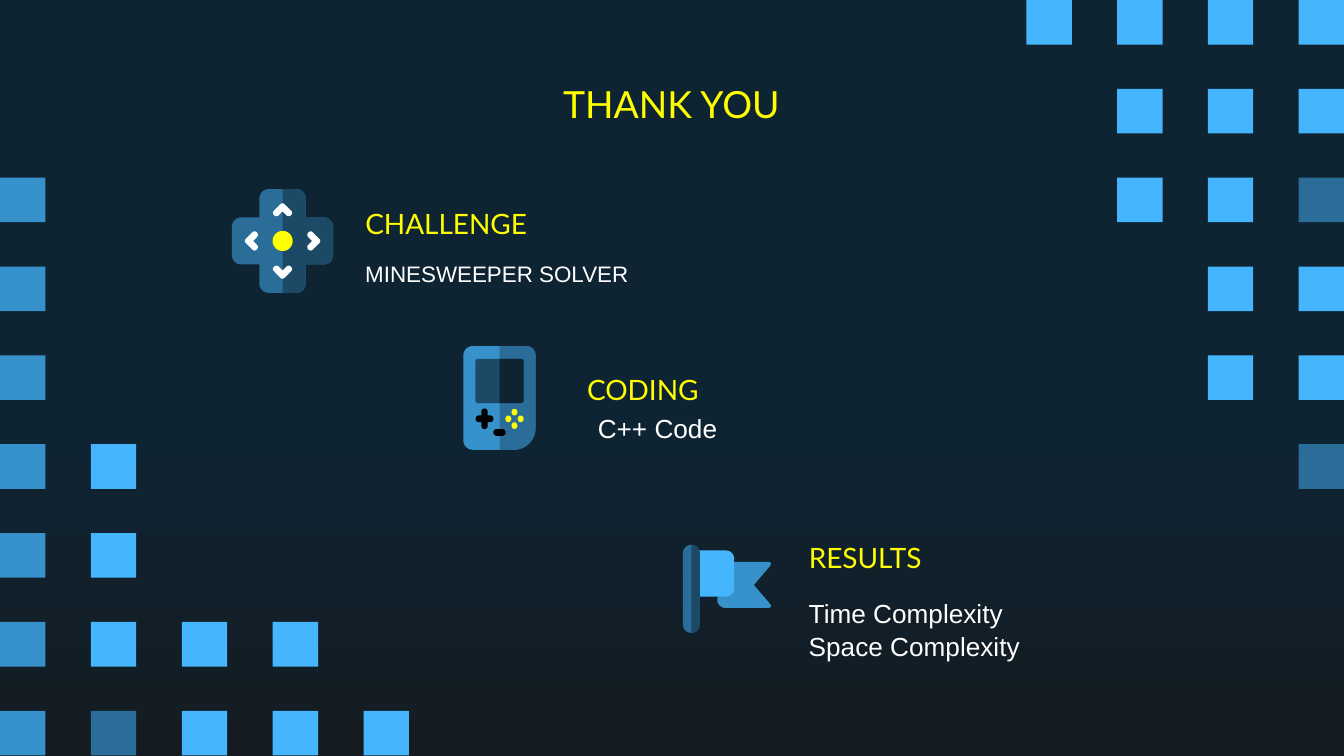
"""Build a closing slide with three icon items framed by pixel squares."""
from math import dist

from pptx import Presentation
from pptx.dml.color import RGBColor
from pptx.enum import shapes as sh, text as tx
from pptx.util import Pt

COLORS = {"night": "0E2433", "ink": "141C21", "sky": "45B6FE", "blue": "3792CB",
          "steel": "296D98", "navy": "1C4966", "yellow": "FFFF00",
          "white": "FFFFFF", "black": "000000"}
SQUARE_COLORS = {"s": "sky", "b": "blue", "d": "steel"}
LEFT_SQUARES = ["", "", "b", "b", "b", "bs", "bs", "bsss", "bdsss"]
RIGHT_SQUARES = ["ssss", ".sss", ".ssd", "..ss", "..ss", "...d"]
ITEMS = [
    ("CHALLENGE", (188.6, 105.1), "MINESWEEPER SOLVER", (188.6, 122.4), 12),
    ("CODING", (307.4, 194.4), "C++ Code", (313.2, 205.2), 14),
    ("RESULTS", (426.2, 284.4), "Time Complexity\nSpace Complexity", (426.2, 313.2), 14),
]


def rgb(name):
    return RGBColor.from_string(COLORS[name])


def paint(sp, color):
    sp.shadow.inherit = False
    sp.fill.solid()
    sp.fill.fore_color.rgb = rgb(color)
    sp.line.fill.background()


def write(sp, text, size=14, font="Arial", color="white", align=tx.PP_ALIGN.LEFT, spacing=1.0):
    tf = sp.text_frame
    tf.word_wrap = True
    tf.auto_size = tx.MSO_AUTO_SIZE.NONE
    tf.vertical_anchor = tx.MSO_ANCHOR.MIDDLE
    tf.margin_left = tf.margin_right = tf.margin_top = tf.margin_bottom = Pt(7.2)
    tf.text = text
    for p in tf.paragraphs:
        p.alignment = align
        p.line_spacing = spacing
        for r in p.runs:
            r.font.size, r.font.name = Pt(size), font
            r.font.color.rgb = rgb(color)


def add_text(s, x, y, w, h, text, **fmt):
    write(s.shapes.add_textbox(Pt(x), Pt(y), Pt(w), Pt(h)), text, **fmt)


def add_preset(shapes, kind, x, y, w, h, color):
    paint(shapes.add_shape(kind, Pt(x), Pt(y), Pt(w), Pt(h)), color)


def add_squares(s, rows, left, pitch):
    for i, row in enumerate(rows):
        for j, key in enumerate(row):
            if key in SQUARE_COLORS:
                add_preset(s.shapes, sh.MSO_SHAPE.RECTANGLE, left + j * pitch, i * 47.6,
                           24.3, 23.9, SQUARE_COLORS[key])


def round_corner(prev, corner, nxt, steps=8, weight=0.71):
    """Return the points of an arc that replaces one corner (x, y, radius)."""
    x, y, r = corner
    if not r:
        return [(x, y)]
    (ax, ay), (bx, by) = [
        (x + (q[0] - x) * r / dist(q[:2], (x, y)), y + (q[1] - y) * r / dist(q[:2], (x, y)))
        for q in (prev, nxt)]
    arc = []
    for k in range(steps + 1):
        t = k / steps
        a, c, b = (1 - t) ** 2, 2 * weight * t * (1 - t), t * t
        arc.append(((a * ax + c * x + b * bx) / (a + b + c),
                    (a * ay + c * y + b * by) / (a + b + c)))
    return arc


def add_outline(shapes, origin, corners, color):
    ox, oy = origin
    pts = []
    for i, corner in enumerate(corners):
        pts += round_corner(corners[i - 1], corner, corners[(i + 1) % len(corners)])
    pts = [(Pt(ox + x), Pt(oy + y)) for x, y in pts]
    ff = shapes.build_freeform(*pts[0], scale=1.0)
    ff.add_line_segments(pts[1:], close=True)
    paint(ff.convert_to_shape(), color)


def box(x0, y0, x1, y1, r, left_r=None):
    lr = r if left_r is None else left_r
    return [(x0, y0, lr), (x1, y0, r), (x1, y1, r), (x0, y1, lr)]


def half_cross(w, h, arm_w, arm_h, r):
    top = [(0, -h, 0), (arm_w, -h, r), (arm_w, -arm_h, 0), (w, -arm_h, r)]
    return top + [(x, -y, c) for x, y, c in reversed(top)]


def mirrored(half):
    return half + [(-x, y, r) for x, y, r in reversed(half)]


def add_pad_icon(s):
    g, o = s.shapes.add_group_shape().shapes, (151.4, 129.1)
    half = half_cross(27.1, 27.8, 12.4, 12.6, 5)
    add_outline(g, o, mirrored(half), "steel")
    add_outline(g, o, half, "navy")
    arrow = [(0, -20.8, 1.5), (5.8, -15, 1.6), (3.2, -12.6, 1.6),
             (0, -15.8, 0), (-3.2, -12.6, 1.6), (-5.8, -15, 1.6)]
    for _ in range(4):
        add_outline(g, o, arrow, "white")
        arrow = [(-y, x, r) for x, y, r in arrow]
    add_preset(g, sh.MSO_SHAPE.OVAL, o[0] - 5.4, o[1] - 5.4, 10.8, 10.8, "yellow")


def add_console_icon(s):
    g, o = s.shapes.add_group_shape().shapes, (267.6, 213.2)
    for left, left_r, color in ((-19.3, 5, "blue"), (0, 0, "steel")):
        add_outline(g, o, [(left, -27.8, left_r), (19.3, -27.8, 5),
                           (19.3, 27.8, 11.5), (left, 27.8, left_r)], color)
    add_outline(g, o, box(-12.9, -20.9, 12.9, 2.7, 1.4), "navy")
    add_outline(g, o, box(0, -20.9, 12.9, 2.7, 1.4, left_r=0), "night")
    add_outline(g, (o[0] - 8, o[1] + 11.2), mirrored(half_cross(4.7, 5.5, 1.65, 1.8, 1.6)), "black")
    add_outline(g, o, box(-3.3, 16.7, 3.3, 20.3, 1.8), "black")
    for dx, dy in ((0, -3.6), (3.3, 0), (0, 3.6), (-3.3, 0)):
        add_preset(g, sh.MSO_SHAPE.OVAL, o[0] + 8 + dx - 1.6, o[1] + 11.2 + dy - 1.8,
                   3.2, 3.6, "yellow")


def add_flag_icon(s):
    g, o = s.shapes.add_group_shape().shapes, (370.4, 315.5)
    add_outline(g, o, [(21, -14.5, 0), (44, -14.5, 3), (33.5, -2.1, 0), (44, 10.2, 3),
                       (13.9, 10.2, 4.4), (13.9, 1.3, 4.4), (18.5, 1.3, 0)], "blue")
    add_outline(g, o, box(3.2, -20.6, 22.9, 4.1, 4.5, left_r=0), "sky")
    add_outline(g, o, box(-4.5, -23.6, 4.5, 23.6, 4.5), "steel")
    add_outline(g, o, box(0, -23.6, 4.5, 23.6, 4.5, left_r=0), "navy")


def set_background(s):
    fill = s.background.fill
    fill.gradient()
    fill.gradient_angle = 270
    for stop, position, color in zip(fill.gradient_stops, (0.56, 1.0), ("night", "ink")):
        stop.position = position
        stop.color.rgb = rgb(color)


def set_title(s, text):
    sp = s.shapes.title
    sp.left, sp.top, sp.width, sp.height = Pt(56.2), Pt(42.5), Pt(607), Pt(25.9)
    write(sp, text, size=20, font="Lato", color="yellow", align=tx.PP_ALIGN.CENTER)


def main():
    prs = Presentation()
    prs.slide_width, prs.slide_height = Pt(720), Pt(405)
    s = prs.slides.add_slide(prs.slide_layouts[5])
    set_background(s)
    add_squares(s, LEFT_SQUARES, 0, 48.7)
    add_squares(s, RIGHT_SQUARES, 549.9, 48.6)
    set_title(s, "THANK YOU")
    for heading, heading_at, body, body_at, size in ITEMS:
        add_text(s, *heading_at, 164.9, 28.8, heading, size=15, font="Lato", color="yellow")
        add_text(s, *body_at, 169.9, 46.8, body, size=size, spacing=1.07)
    add_pad_icon(s)
    add_console_icon(s)
    add_flag_icon(s)
    prs.save("out.pptx")


if __name__ == "__main__":
    main()
